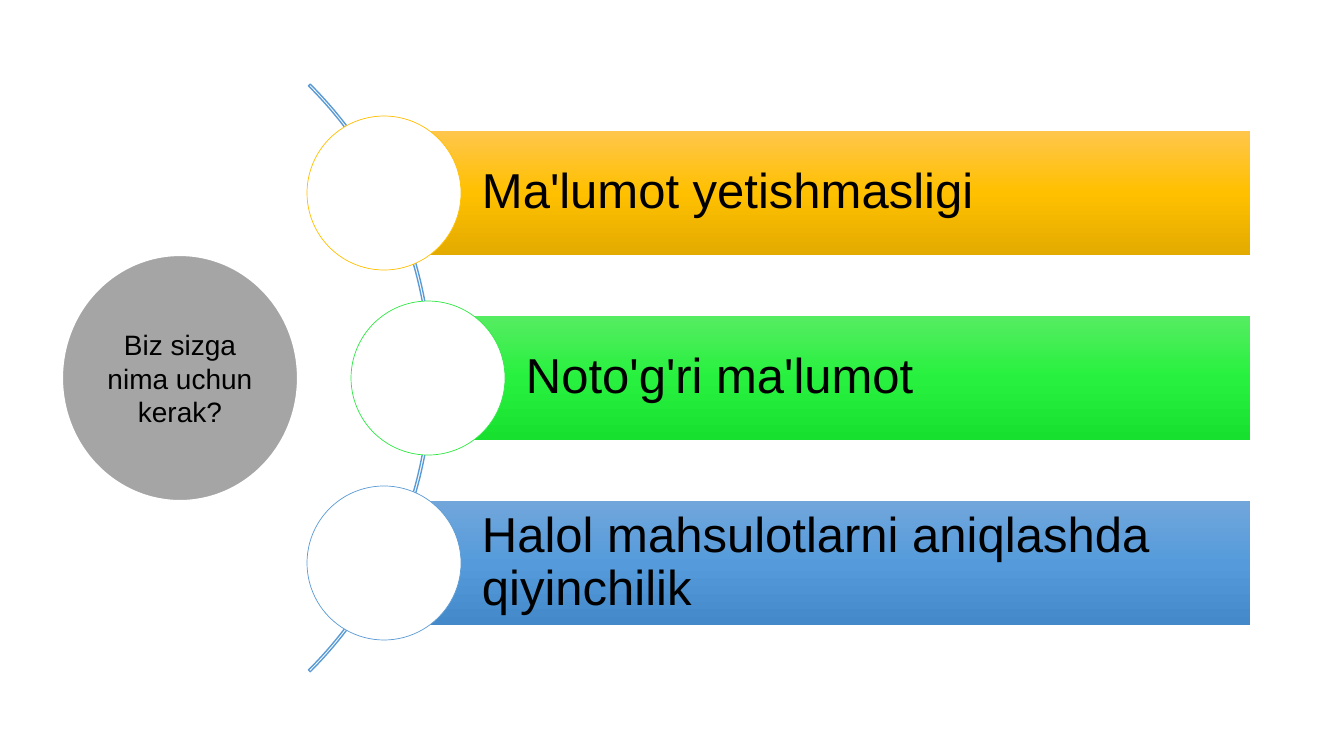
from lxml import etree
from pptx import Presentation
from pptx.dml.color import RGBColor
from pptx.enum.shapes import MSO_SHAPE
from pptx.enum.text import MSO_ANCHOR, PP_ALIGN
from pptx.oxml.ns import qn
from pptx.util import Pt

RECT, OVAL, ARC = MSO_SHAPE.RECTANGLE, MSO_SHAPE.OVAL, MSO_SHAPE.BLOCK_ARC
MIDDLE = MSO_ANCHOR.MIDDLE
LEFT, CENTER = PP_ALIGN.LEFT, PP_ALIGN.CENTER

QUESTION = "Biz sizga nima uchun kerak?"
REASONS = [
    ("Ma'lumot yetishmasligi", 384, ("FFC64B", "FFC000", "E3AB00"), "FFC000"),
    ("Noto'g'ri ma'lumot", 428, ("56EC62", "27F13E", "18E02F"), "30E845"),
    ("Halol mahsulotlarni aniqlashda qiyinchilik", 384,
     ("71A6DB", "559BDB", "448ACA"), "5B9BD5"),
]

SLIDE_W, SLIDE_H = 1344, 756
SCALE = 12192000 / SLIDE_W
MID_Y = SLIDE_H // 2
BAR_RIGHT, BAR_H, PITCH, DOT = 1250, 124, 185, 154
ARC_X, ARC_SIZE = -399, 831
QUESTION_X, QUESTION_W, QUESTION_H = 62, 236, 246


def px(n):
    """Turn slide pixels into EMU."""
    return round(n * SCALE)


def color(value):
    """Turn a hex string into a colour."""
    return RGBColor.from_string(value)


def add_shape(shapes, kind, x, y, w, h, fill=None, line=None, width=1):
    """Add a preset shape without shadow, with optional fill and outline."""
    sp = shapes.add_shape(kind, px(x), px(y), px(w), px(h))
    sp.shadow.inherit = False
    if fill:
        sp.fill.solid()
        sp.fill.fore_color.rgb = color(fill)
    else:
        sp.fill.background()
    if line:
        sp.line.color.rgb = color(line)
        sp.line.width = Pt(width)
    else:
        sp.line.fill.background()
    return sp


def set_gradient(sp, colors):
    """Fill a shape from top to bottom with evenly spaced colours."""
    sp.fill.gradient()
    sp.fill.gradient_angle = 270
    stops = sp.element.spPr.find(qn("a:gradFill")).find(qn("a:gsLst"))
    for stop in list(stops):
        stops.remove(stop)
    for i, value in enumerate(colors):
        pos = str(100000 * i // (len(colors) - 1))
        stop = etree.SubElement(stops, qn("a:gs"), pos=pos)
        etree.SubElement(stop, qn("a:srgbClr"), val=value)


def set_text(sp, text, size, align, spacing=1.0, **margins):
    """Write one paragraph of black Arial, centred vertically."""
    tf = sp.text_frame
    frame = {"word_wrap": True, "vertical_anchor": MIDDLE, **margins}
    for name, value in frame.items():
        setattr(tf, name, value)
    p = tf.paragraphs[0]
    p.alignment, p.line_spacing = align, spacing
    r = p.add_run()
    r.text = text
    for name, value in {"name": "Arial", "size": Pt(size)}.items():
        setattr(r.font, name, value)
    r.font.color.rgb = color("000000")


def main():
    """Build the slide and save it."""
    prs = Presentation()
    prs.slide_width, prs.slide_height = px(SLIDE_W), px(SLIDE_H)
    s = prs.slides.add_slide(prs.slide_layouts[6])
    diagram = s.shapes.add_group_shape().shapes

    arc = add_shape(diagram, ARC, ARC_X, MID_Y - ARC_SIZE / 2,
                    ARC_SIZE, ARC_SIZE, line="5B9BD5")
    for i, value in enumerate((189, 27, 0.003)):
        arc.adjustments[i] = value

    for i, (text, x, gradient, outline) in enumerate(REASONS):
        y = MID_Y + (i - 1) * PITCH
        bar = add_shape(diagram, RECT, x, y - BAR_H / 2, BAR_RIGHT - x, BAR_H)
        set_gradient(bar, gradient)
        set_text(bar, text, 35, LEFT, 0.9, margin_left=px(98),
                 margin_right=px(10), margin_top=px(10), margin_bottom=px(10))
        add_shape(diagram, OVAL, x - DOT / 2, y - DOT / 2, DOT, DOT,
                  "FFFFFF", outline, 0.5)

    question = add_shape(s.shapes, OVAL, QUESTION_X, MID_Y - QUESTION_H / 2,
                         QUESTION_W, QUESTION_H, "A5A5A5", "FFFFFF", 1.5)
    set_text(question, QUESTION, 20, CENTER)
    prs.save("out.pptx")


if __name__ == "__main__":
    main()
